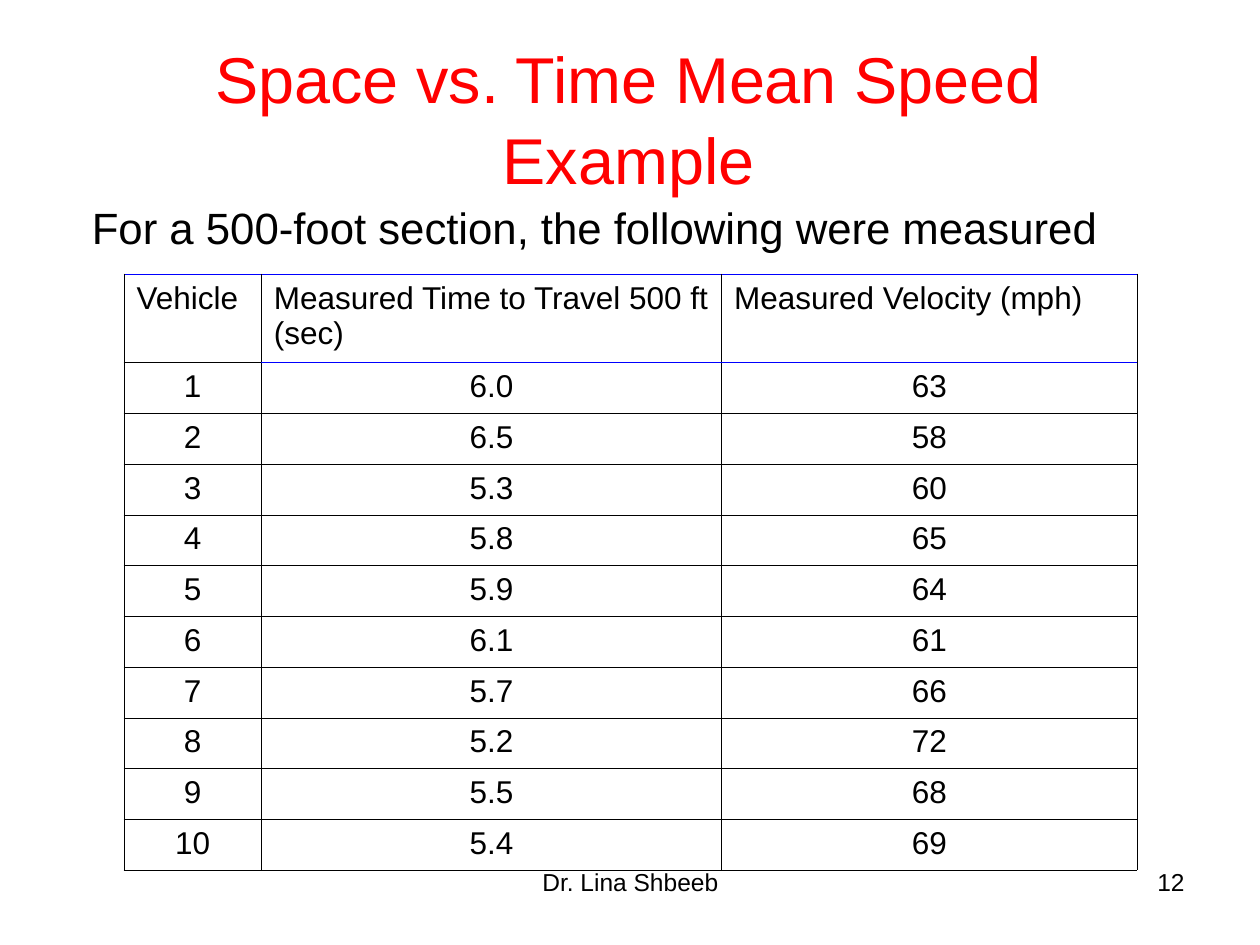
from dataclasses import dataclass
from typing import Optional

from lxml import etree
from pptx import Presentation
from pptx.dml.color import RGBColor
from pptx.enum import text as tx
from pptx.oxml.ns import qn
from pptx.util import Pt


@dataclass(frozen=True)
class Theme:
    font: str = "Arial"
    black: str = "000000"
    red: str = "FF0000"
    blue: str = "0000FF"
    title: float = 37
    body: float = 25
    cell: float = 18
    foot: float = 14
    thin: float = 0.45
    thick: float = 0.96


@dataclass(frozen=True)
class Label:
    words: str
    left: float
    top: float
    width: float
    height: float
    size: float
    color: str
    align: tx.PP_ALIGN
    anchor: tx.MSO_ANCHOR = tx.MSO_ANCHOR.TOP
    inset: float = 3.6
    pitch: Optional[float] = None


@dataclass(frozen=True)
class Trial:
    time: str
    speed: str


T = Theme()
A = tx.PP_ALIGN

LABELS = [
    Label("Space vs. Time Mean Speed Example", 44.6, 21.6, 629.3, 85,
          T.title, T.red, A.CENTER, tx.MSO_ANCHOR.MIDDLE, 8, 1.05),
    Label("For a 500-foot section, the following were measured",
          45.4, 105.8, 592.6, 364.3, T.body, T.black, A.LEFT, inset=9),
    Label("Dr. Lina Shbeeb", 246.2, 491.8, 228.2, 37.4, T.foot, T.black, A.CENTER),
    Label("12", 516.2, 491.8, 167.8, 37.4, T.foot, T.black, A.RIGHT),
]

HEADS = ["Vehicle", "Measured Time to Travel 500 ft (sec)", "Measured Velocity (mph)"]
TRIALS = [
    Trial("6.0", "63"), Trial("6.5", "58"), Trial("5.3", "60"), Trial("5.8", "65"),
    Trial("5.9", "64"), Trial("6.1", "61"), Trial("5.7", "66"), Trial("5.2", "72"),
    Trial("5.5", "68"), Trial("5.4", "69"),
]
WIDTHS = [78.5, 263, 237.5]
HEAD_H, ROW_H = 50.4, 29


def write(para, words: str, size: float, color: str, align: tx.PP_ALIGN) -> None:
    para.alignment = align
    run = para.add_run()
    run.text = words
    run.font.name = T.font
    run.font.size = Pt(size)
    run.font.color.rgb = RGBColor.from_string(color)


def add_label(slide, label: Label) -> None:
    box = slide.shapes.add_textbox(
        Pt(label.left), Pt(label.top), Pt(label.width), Pt(label.height))
    frame = box.text_frame
    frame.word_wrap = True
    frame.vertical_anchor = label.anchor
    frame.margin_top = Pt(label.inset)
    para = frame.paragraphs[0]
    if label.pitch:
        para.line_spacing = label.pitch
    write(para, label.words, label.size, label.color, label.align)


def rule(cell, side: str, color: str, width: float) -> None:
    """Draw one border; side is L, R, T or B."""
    props = cell._tc.get_or_add_tcPr()
    line = etree.SubElement(props, qn(f"a:ln{side}"), w=str(int(Pt(width))))
    fill = etree.SubElement(line, qn("a:solidFill"))
    etree.SubElement(fill, qn("a:srgbClr"), val=color)


def edge(row: int, col: int) -> tuple[str, float]:
    """Colour and width of the rule above a row."""
    if row == 0 or (row == 1 and col > 0):
        return T.blue, T.thick
    return T.black, T.thick if row == 1 else T.thin


def add_grid(slide) -> None:
    rows = [HEADS] + [[str(n), t.time, t.speed] for n, t in enumerate(TRIALS, 1)]
    high = HEAD_H + ROW_H * len(TRIALS)
    grid = slide.shapes.add_table(
        len(rows), len(HEADS), Pt(70.8), Pt(156.8), Pt(sum(WIDTHS)), Pt(high)).table
    grid.first_row = grid.horz_banding = False
    for col, width in zip(grid.columns, WIDTHS):
        col.width = Pt(width)
    for r, row in enumerate(rows):
        grid.rows[r].height = Pt(ROW_H if r else HEAD_H)
        for c, words in enumerate(row):
            cell = grid.cell(r, c)
            write(cell.text_frame.paragraphs[0], words, T.cell, T.black,
                  A.CENTER if r else A.LEFT)
            rule(cell, "L", T.black, T.thin)
            rule(cell, "R", T.black, T.thin)
            rule(cell, "T", *edge(r, c))
            rule(cell, "B", *edge(r + 1, c))
            cell.fill.background()


def main() -> None:
    deck = Presentation()
    deck.slide_width, deck.slide_height = Pt(720), Pt(540)
    slide = deck.slides.add_slide(deck.slide_layouts[6])
    for label in LABELS[:2]:
        add_label(slide, label)
    add_grid(slide)
    for label in LABELS[2:]:
        add_label(slide, label)
    deck.save("out.pptx")


if __name__ == "__main__":
    main()
